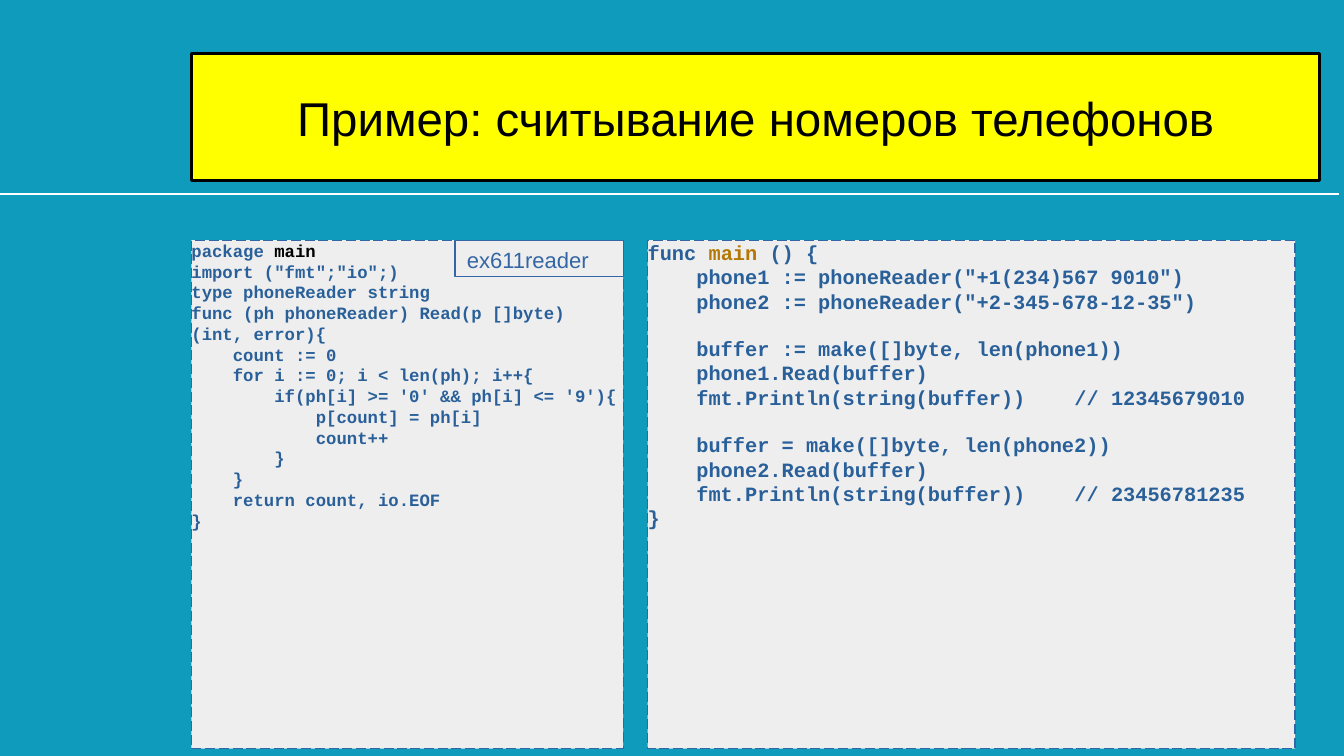
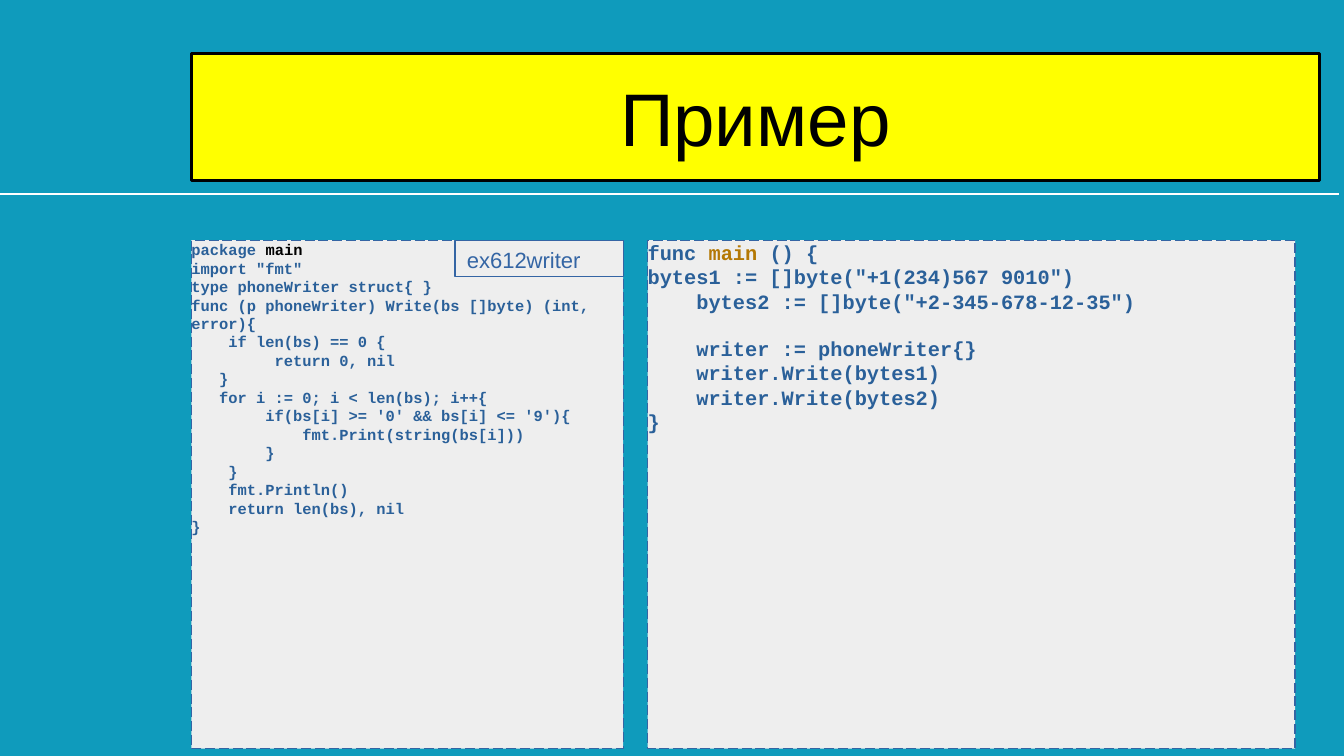
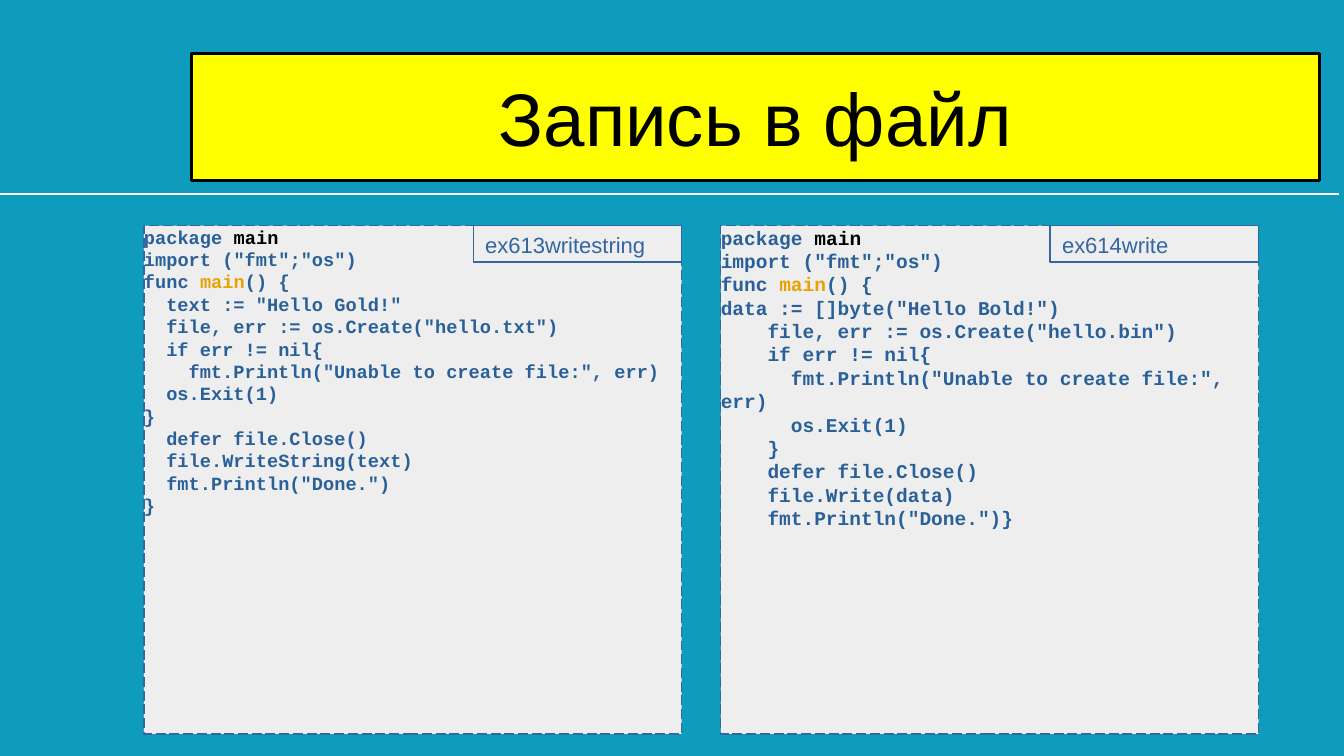
from lxml.etree import SubElement
from pptx import Presentation
from pptx.dml.color import RGBColor
from pptx.enum.dml import MSO_LINE
from pptx.enum.shapes import MSO_CONNECTOR, MSO_SHAPE
from pptx.enum.text import MSO_ANCHOR, MSO_AUTO_SIZE, PP_ALIGN
from pptx.oxml.ns import qn
from pptx.util import Inches, Pt

COLORS = {
    "background": "0F9BBC", "rule": "FFFFFF", "title": "FFFF00", "black": "000000",
    "panel": "EEEEEE", "border": "3465A4", "code": "2A6099",
    "ochre": "B47804", "amber": "E8A202",
}
CHAR_WIDTH = 0.6     # monospaced letter width, in font sizes
LINE_HEIGHT = 1.13   # monospaced line height, in font sizes
COMMENT_COLUMN = 36
TAB_LABEL_HEIGHT = 0.3
PANEL_HEIGHT = 4.17


def write(para, text, size=13, font="Arial", color="black", bold=False):
    span = para.add_run()
    span.text = text
    span.font.size = Pt(size)
    span.font.name = font
    span.font.bold = bold
    span.font.color.rgb = RGBColor.from_string(COLORS[color])


def dress(box, fill=None, line="border", width=0, dash=None, inset=(0, 0), anchor=MSO_ANCHOR.TOP):
    if fill:
        box.fill.solid()
        box.fill.fore_color.rgb = RGBColor.from_string(COLORS[fill])
    else:
        box.fill.background()
    box.line.color.rgb = RGBColor.from_string(COLORS[line])
    box.line.width = Pt(width)
    if dash:
        box.line.dash_style = dash
    frame = box.text_frame
    frame.word_wrap = True
    frame.auto_size = MSO_AUTO_SIZE.NONE
    frame.vertical_anchor = anchor
    frame.margin_left = frame.margin_right = Inches(inset[0])
    frame.margin_top = frame.margin_bottom = Inches(inset[1])
    return frame


# Code listings
reader_type = [
    'package main',
    'import ("fmt";"io";)',
    'type phoneReader string',
    'func (ph phoneReader) Read(p []byte) (int, error){',
    '    count := 0',
    '    for i := 0; i < len(ph); i++{',
    "        if(ph[i] >= '0' && ph[i] <= '9'){",
    '            p[count] = ph[i]',
    '            count++',
    '        }',
    '    }',
    '    return count, io.EOF',
    '}',
]
reader_main = [
    'func main () {',
    '    phone1 := phoneReader("+1(234)567 9010")',
    '    phone2 := phoneReader("+2-345-678-12-35")',
    '',
    '    buffer := make([]byte, len(phone1))',
    '    phone1.Read(buffer)',
    '    fmt.Println(string(buffer))\t// 12345679010',
    '',
    '    buffer = make([]byte, len(phone2))',
    '    phone2.Read(buffer)',
    '    fmt.Println(string(buffer))\t// 23456781235',
    '}',
]
writer_type = [
    'package main',
    'import "fmt"',
    'type phoneWriter struct{ }',
    'func (p phoneWriter) Write(bs []byte) (int, error){',
    '    if len(bs) == 0 {',
    '         return 0, nil',
    '   }',
    '   for i := 0; i < len(bs); i++{',
    "        if(bs[i] >= '0' && bs[i] <= '9'){",
    '            fmt.Print(string(bs[i]))',
    '        }',
    '    }',
    '    fmt.Println()',
    '    return len(bs), nil',
    '}',
]
writer_main = [
    'func main () {',
    'bytes1 := []byte("+1(234)567 9010")',
    '    bytes2 := []byte("+2-345-678-12-35")',
    '',
    '    writer := phoneWriter{}',
    '    writer.Write(bytes1)',
    '    writer.Write(bytes2)',
    '}',
]
write_string = [
    'package main',
    'import ("fmt";"os")',
    'func main() {',
    '  text := "Hello Gold!"',
    '  file, err := os.Create("hello.txt")',
    '  if err != nil{',
    '    fmt.Println("Unable to create file:", err)',
    '  os.Exit(1)',
    '}',
    '  defer file.Close()',
    '  file.WriteString(text)',
    '  fmt.Println("Done.")',
    '}',
]
write_bytes = [
    'package main',
    'import ("fmt";"os")',
    'func main() {',
    'data := []byte("Hello Bold!")',
    '    file, err := os.Create("hello.bin")',
    '    if err != nil{',
    '      fmt.Println("Unable to create file:", err)',
    '      os.Exit(1)',
    '    }',
    '    defer file.Close()',
    '    file.Write(data)',
    '    fmt.Println("Done.")}',
]

# Each slide: title, title size, panel top, colour of the main function, label width,
# and panels as (left, width, code size, label, code)
slides = [
    ("Пример: считывание номеров телефонов", 28, 1.97, "ochre", 1.38, [
        (1.57, 3.54, 10.2, "ex611reader", reader_type),
        (5.31, 5.31, 12, None, reader_main)]),
    ("Пример", 44, 1.97, "ochre", 1.38, [
        (1.57, 3.54, 9.1, "ex612writer", writer_type),
        (5.31, 5.31, 12, None, writer_main)]),
    ("Запись в файл", 44, 1.85, "amber", 1.71, [
        (1.18, 4.41, 11, "ex613writestring", write_string),
        (5.91, 4.41, 11.5, "ex614write", write_bytes)]),
]

deck = Presentation()
deck.slide_width, deck.slide_height = Inches(11.02), Inches(6.2)
backdrop = deck.slide_master.background.fill
backdrop.solid()
backdrop.fore_color.rgb = RGBColor.from_string(COLORS["background"])

for heading, heading_size, top, main_color, label_width, panels in slides:
    page = deck.slides.add_slide(deck.slide_layouts[5])

    # Title band and the rule under it
    title = page.shapes.title
    title.left, title.top = Inches(1.57), Inches(0.44)
    title.width, title.height = Inches(9.25), Inches(1.04)
    para = dress(title, "title", "black", 1.5, anchor=MSO_ANCHOR.MIDDLE).paragraphs[0]
    para.alignment = PP_ALIGN.CENTER
    write(para, heading, size=heading_size)
    rule = page.shapes.add_connector(
        MSO_CONNECTOR.STRAIGHT, Inches(0), Inches(1.59), Inches(10.98), Inches(1.59))
    rule.line.color.rgb = RGBColor.from_string(COLORS["rule"])
    rule.line.width = Pt(1.5)
    SubElement(rule.element.spPr, qn("a:effectLst"))

    for left, width, size, label, code in panels:
        # Code panel
        panel = page.shapes.add_shape(
            MSO_SHAPE.RECTANGLE, Inches(left), Inches(top), Inches(width), Inches(PANEL_HEIGHT))
        panel.shadow.inherit = False
        frame = dress(panel, "panel", dash=MSO_LINE.LONG_DASH)
        gap = 0
        for number, line in enumerate(code):
            if not line:
                gap = LINE_HEIGHT * size
                continue
            para = frame.add_paragraph() if number else frame.paragraphs[0]
            para.alignment = PP_ALIGN.LEFT
            para.space_before = Pt(gap)
            gap = 0

            # First-line indent from the leading spaces, tab stop for a comment
            text = line.lstrip()
            indent = (len(line) - len(text)) * CHAR_WIDTH * size
            properties = para._p.get_or_add_pPr()
            properties.set("marL", "0")
            properties.set("indent", str(Pt(indent)))
            if "\t" in text:
                stops = SubElement(properties, qn("a:tabLst"))
                SubElement(stops, qn("a:tab"), algn="l",
                           pos=str(Pt(COMMENT_COLUMN * CHAR_WIDTH * size)))

            before, name, after = text.partition("main")
            name_color = "black" if before == "package " else main_color
            for part, color in ((before, "code"), (name, name_color), (after, "code")):
                if part:
                    write(para, part, size=size, font="Courier New", color=color, bold=True)

        # File label in the panel's top right corner
        if label:
            tag = page.shapes.add_shape(
                MSO_SHAPE.RECTANGLE, Inches(left + width - label_width), Inches(top),
                Inches(label_width), Inches(TAB_LABEL_HEIGHT))
            tag.shadow.inherit = False
            para = dress(tag, inset=(0.1, 0.05)).paragraphs[0]
            para.alignment = PP_ALIGN.LEFT
            write(para, label, color="border")

deck.save("out.pptx")
